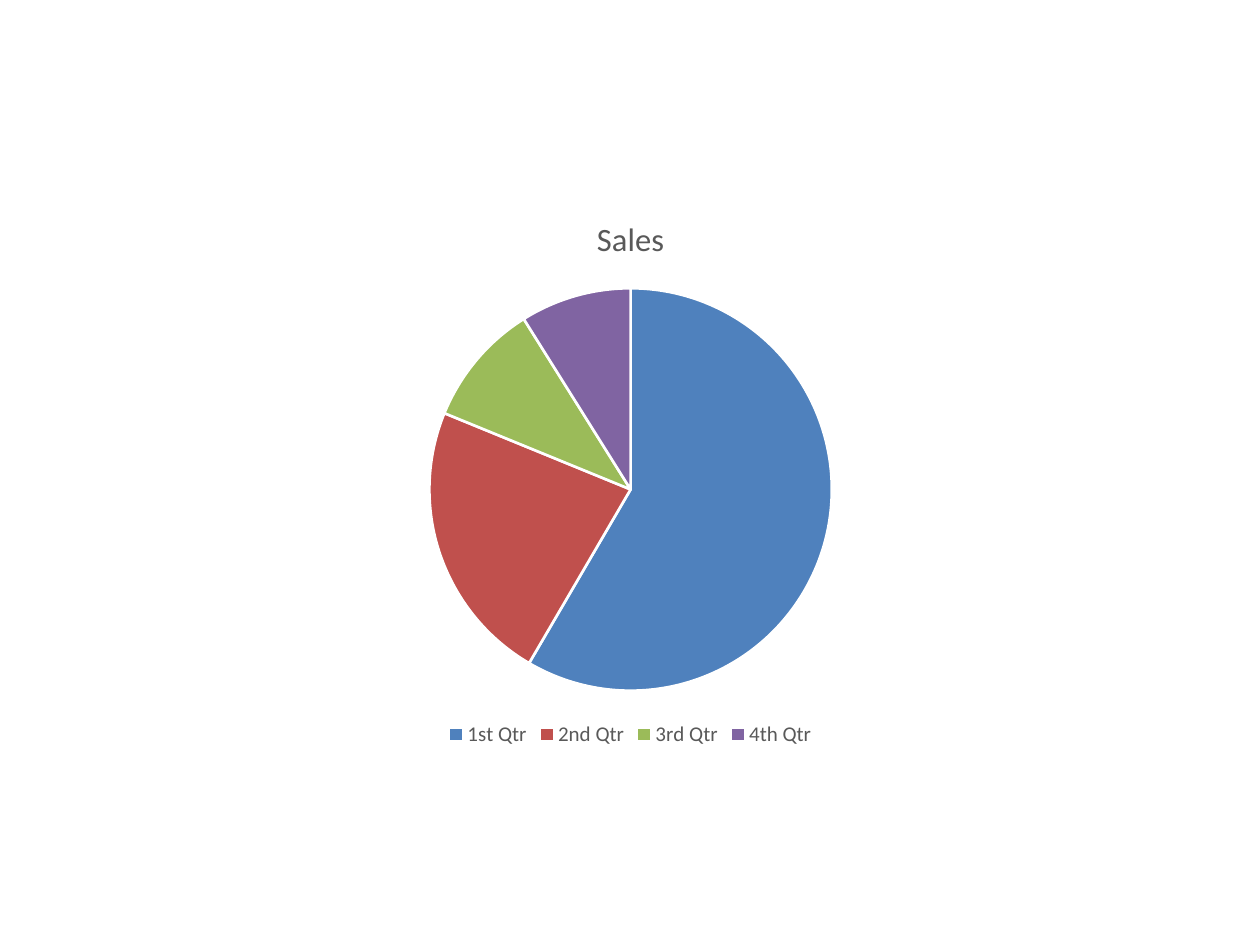
from pptx import Presentation
from pptx.chart.data import CategoryChartData as ChartData
from pptx.dml.color import RGBColor as RGB
from pptx.enum.chart import XL_CHART_TYPE as Kind, XL_LEGEND_POSITION as Place
from pptx.util import Inches, Pt

FONT = "Calibri"
COLORS = {
    "text": "595959",
    "edge": "FFFFFF",
    "1st Qtr": "4F81BD",
    "2nd Qtr": "C0504D",
    "3rd Qtr": "9BBB59",
    "4th Qtr": "8064A2",
}
SALES = {"1st Qtr": 59, "2nd Qtr": 23, "3rd Qtr": 10, "4th Qtr": 9}


def color(name):
    return RGB.from_string(COLORS[name])


def style(font, size):
    font.name = FONT
    font.size = Pt(size)
    font.bold = False
    font.color.rgb = color("text")


def add_pie(slide, title, sales):
    data = ChartData()
    data.categories = list(sales)
    data.add_series(title, list(sales.values()))
    chart = slide.shapes.add_chart(
        Kind.PIE, Inches(1.67), Inches(1.53), Inches(6.67), Inches(4.44), data
    ).chart
    chart.font.name = FONT
    chart.font.size = Pt(10)

    # Title
    chart.has_title = True
    run = chart.chart_title.text_frame.paragraphs[0].add_run()
    run.text = title
    style(run.font, 18.6)
    chart.chart_title.include_in_layout = False

    # Legend
    chart.has_legend = True
    chart.legend.position = Place.BOTTOM
    chart.legend.include_in_layout = False
    style(chart.legend.font, 12)

    # Slices
    plot = chart.plots[0]
    plot.vary_by_categories = True
    for i, name in enumerate(sales):
        look = plot.series[0].points[i].format
        look.fill.solid()
        look.fill.fore_color.rgb = color(name)
        look.line.color.rgb = color("edge")
        look.line.width = Pt(1.5)


def main():
    deck = Presentation()
    deck.slide_width = Inches(10)
    deck.slide_height = Inches(7.5)
    slide = deck.slides.add_slide(deck.slide_layouts.get_by_name("Blank"))
    add_pie(slide, "Sales", SALES)
    deck.save("out.pptx")


if __name__ == "__main__":
    main()
